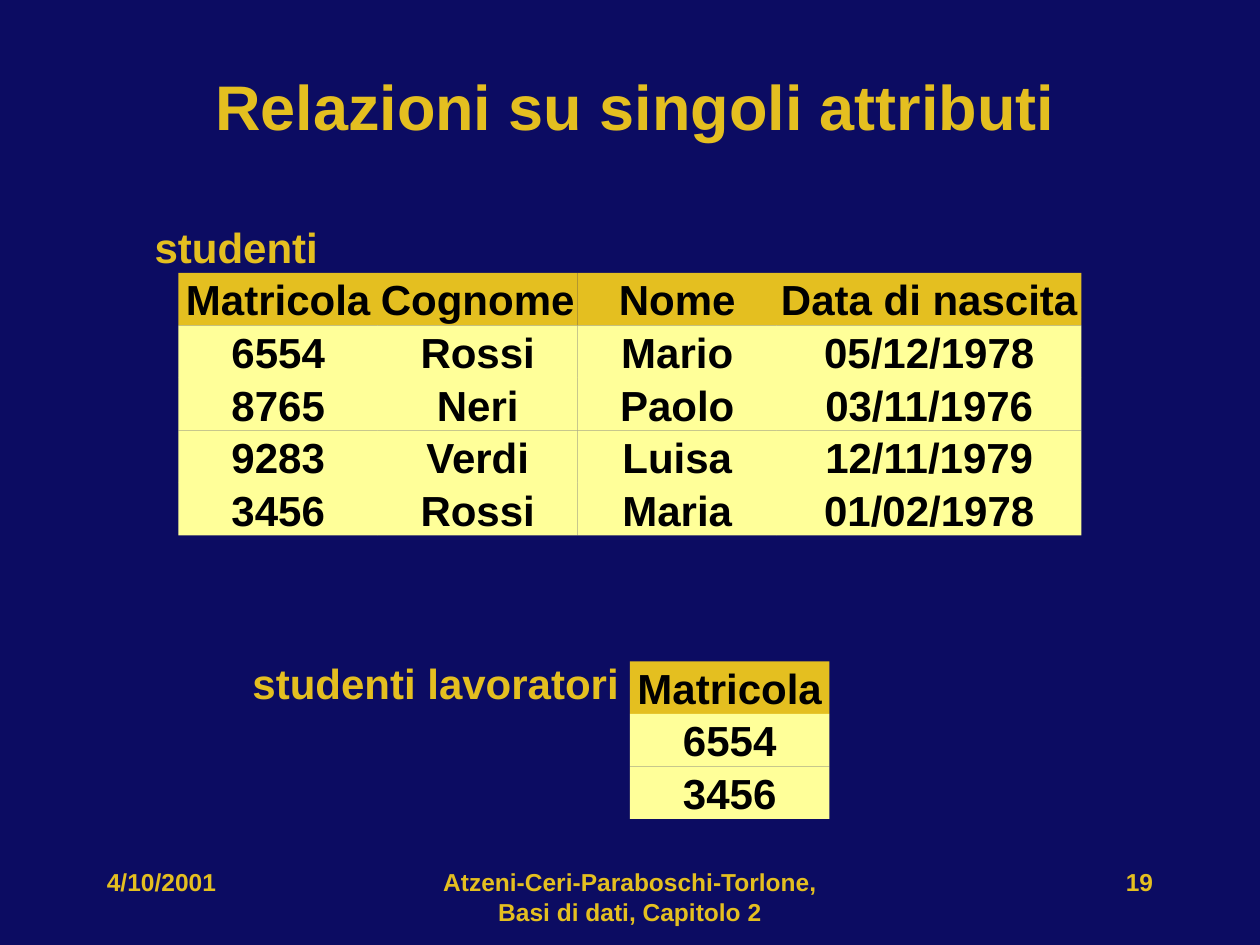
import pptx
import pptx.util
import pptx.dml.color
import pptx.enum.shapes
import pptx.enum.text

Pt = pptx.util.Pt
RGB = pptx.dml.color.RGBColor
ALIGN = pptx.enum.text.PP_ALIGN
ANCHOR = pptx.enum.text.MSO_ANCHOR
RECT = pptx.enum.shapes.MSO_SHAPE.RECTANGLE

NAVY = RGB(0x0C, 0x0C, 0x62)
GOLD = RGB(0xE4, 0xBF, 0x20)
CREAM = RGB(0xFF, 0xFF, 0x99)
BLACK = RGB(0, 0, 0)
ROW = 30


def write(shape, text, size, color, align=ALIGN.CENTER, anchor=ANCHOR.MIDDLE, wrap=False):
    frame = shape.text_frame
    frame.text = text
    frame.word_wrap = wrap
    frame.vertical_anchor = anchor
    para = frame.paragraphs[0]
    para.alignment = align
    font = para.runs[0].font
    font.name = "Arial"
    font.size = Pt(size)
    font.bold = True
    font.color.rgb = color


def draw_grid(group, left, top, widths, rows):
    """Draw rows of cells, the first row being the gold header."""
    for i, row in enumerate(rows):
        x = left
        for width, text in zip(widths, row):
            cell = group.shapes.add_shape(RECT, Pt(x), Pt(top + i * ROW), Pt(width), Pt(ROW))
            cell.shadow.inherit = False
            cell.fill.solid()
            cell.fill.fore_color.rgb = CREAM if i else GOLD
            cell.line.fill.background()
            write(cell, text, 24, BLACK)
            x += width


deck = pptx.Presentation()
deck.slide_width = Pt(720)
deck.slide_height = Pt(540)
slide = deck.slides.add_slide(deck.slide_layouts[6])
slide.background.fill.solid()
slide.background.fill.fore_color.rgb = NAVY

title = slide.shapes.add_textbox(Pt(36), Pt(12), Pt(654), Pt(96))
write(title, "Relazioni su singoli attributi", 36, GOLD, wrap=True)

tables = [
    ("studenti", (78, 126, 114, 30), 102, 156, [114, 114, 114, 174], [
        ["Matricola", "Cognome", "Nome", "Data di nascita"],
        ["6554", "Rossi", "Mario", "05/12/1978"],
        ["8765", "Neri", "Paolo", "03/11/1976"],
        ["9283", "Verdi", "Luisa", "12/11/1979"],
        ["3456", "Rossi", "Maria", "01/02/1978"],
    ]),
    ("studenti lavoratori", (102, 372, 294, 36), 360, 378, [114], [
        ["Matricola"], ["6554"], ["3456"],
    ]),
]
for name, box, left, top, widths, rows in tables:
    group = slide.shapes.add_group_shape()
    draw_grid(group, left, top, widths, rows)
    label = group.shapes.add_textbox(*[Pt(v) for v in box])
    write(label, name, 24, GOLD)

footer = [
    (246, 228, "Atzeni-Ceri-Paraboschi-Torlone, Basi di dati, Capitolo 2", ALIGN.CENTER),
    (516, 150, "19", ALIGN.RIGHT),
    (54, 150, "4/10/2001", ALIGN.LEFT),
]
for left, width, text, align in footer:
    note = slide.shapes.add_textbox(Pt(left), Pt(492), Pt(width), Pt(36))
    write(note, text, 14, GOLD, align, ANCHOR.TOP, True)

deck.save("out.pptx")
